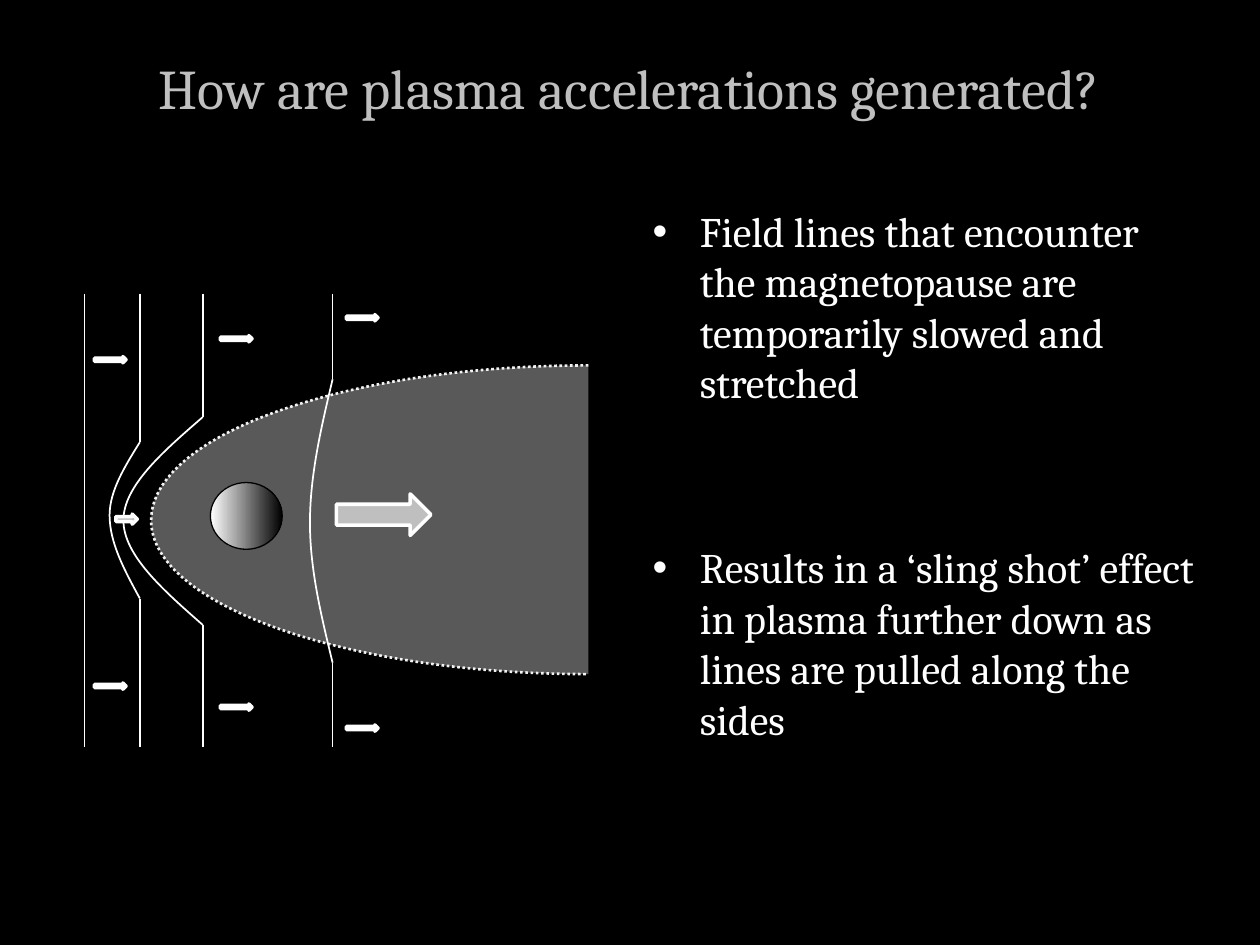
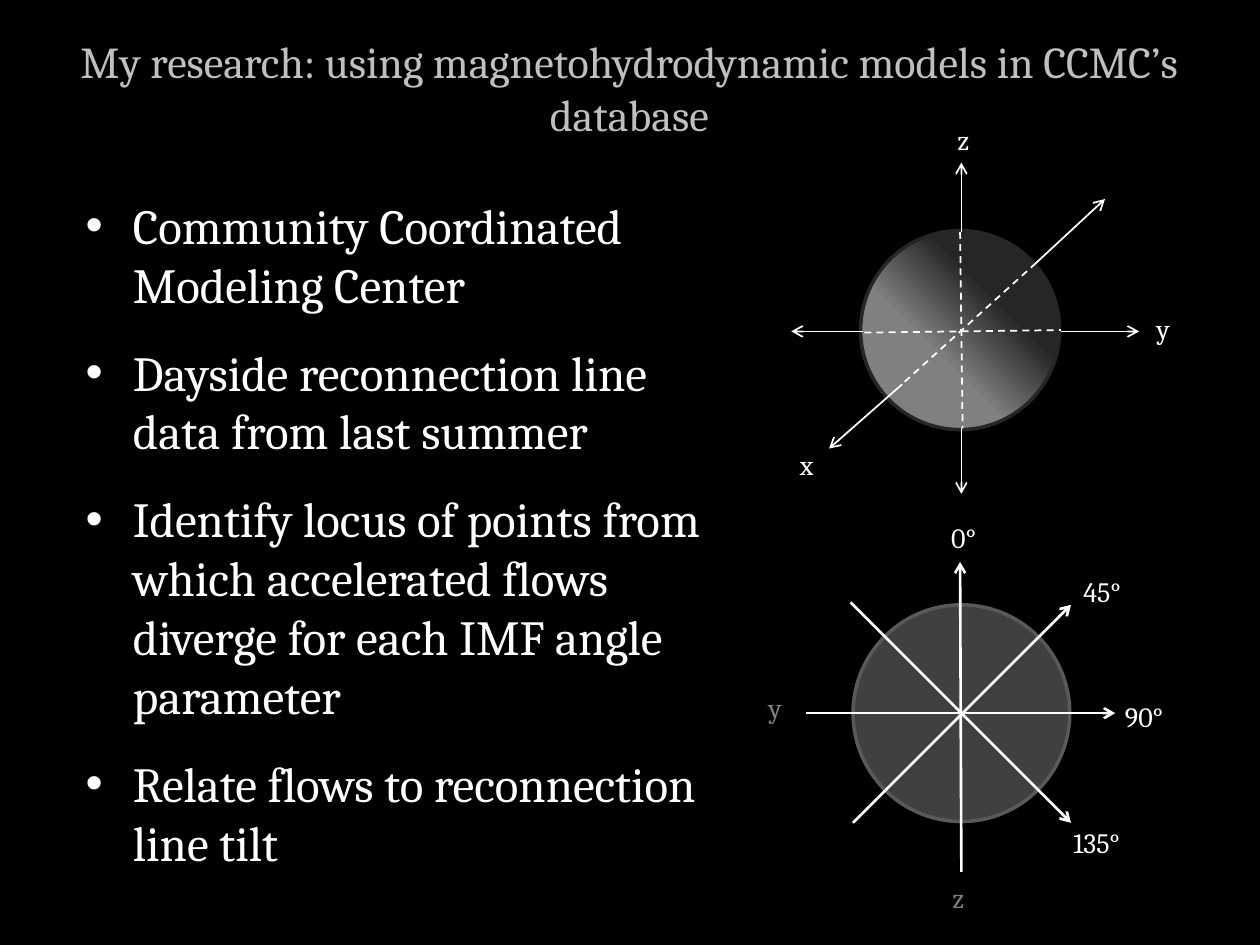
import copy

import pptx
import pptx.dml.color
import pptx.enum.dml
import pptx.enum.shapes
import pptx.enum.text
import pptx.oxml
import pptx.oxml.ns
import pptx.util

Inches = pptx.util.Inches
Pt = pptx.util.Pt
RGBColor = pptx.dml.color.RGBColor
Shape = pptx.enum.shapes.MSO_SHAPE
Dash = pptx.enum.dml.MSO_LINE
qn = pptx.oxml.ns.qn
NAMESPACE = pptx.oxml.ns.nsdecls("a")

BLACK = RGBColor(0x00, 0x00, 0x00)
WHITE = RGBColor(0xFF, 0xFF, 0xFF)
SILVER = RGBColor(0xBF, 0xBF, 0xBF)
GRAY = RGBColor(0x80, 0x80, 0x80)
CAVITY_GRAY = RGBColor(0x59, 0x59, 0x59)
DIAL_GRAY = RGBColor(0x40, 0x40, 0x40)
NIGHT_GRAY = RGBColor(0x26, 0x26, 0x26)
BOUNDARY_WHITE = RGBColor(0xF2, 0xF2, 0xF2)
FONT = "Cambria"
TITLE_BOX = (0.33, 0.3, 9.33, 0.78)

ACCELERATION_TITLE = "How are plasma accelerations generated?"
ACCELERATION_POINTS = [
    ((5.08, 1.58, 4.5, 2.08),
     "Field lines that encounter the magnetopause are temporarily slowed and stretched"),
    ((5.08, 4.25, 4.67, 1.92),
     "Results in a ‘sling shot’ effect in plasma further down as lines are pulled along the sides"),
]
RESEARCH_TITLE = "My research: using magnetohydrodynamic models in CCMC’s database"
RESEARCH_BOX = (0.58, 1.5, 5.42, 5.83)
RESEARCH_POINTS = [
    "Community Coordinated Modeling Center",
    "Dayside reconnection line data from last summer",
    "Identify locus of points from which accelerated flows diverge for each IMF angle parameter",
    "Relate flows to reconnection line tilt",
]

FIELD_TOP, FIELD_BOTTOM = 2.33, 5.93
STRAIGHT_FIELD_X = 0.67
BENT_FIELD_LINES = [
    {"x": 1.11, "bend": (3.51, 4.75), "apex": (0.87, 4.09)},
    {"x": 1.61, "bend": (3.31, 4.96), "apex": (0.98, 4.13)},
    {"x": 2.64, "bend": (3.01, 5.26), "apex": (2.46, 4.15)},
]
MAGNETOPAUSE = [
    (4.67, 2.9),
    (2.75, 2.9), (1.2, 3.45), (1.2, 4.13),
    (1.2, 4.8), (2.75, 5.35), (4.67, 5.35),
]
EARTH_BOX = (1.67, 3.83, 0.57, 0.53)
SLING_ARROWS = [(2.67, 3.92, 0.75, 0.33), (0.92, 4.08, 0.17, 0.08)]

GLOBE_BOX = (6.83, 1.83, 1.58, 1.58)
GLOBE_AXES = [
    ((7.18, 3.03), (8.22, 2.09)),
    ((6.86, 2.64), (8.42, 2.62)),
    ((7.62, 1.84), (7.64, 3.4)),
]
GLOBE_ARROWS = [
    ((8.22, 2.09), (8.77, 1.58)),
    ((7.16, 3.05), (6.58, 3.56)),
    ((6.85, 2.63), (6.28, 2.63)),
    ((8.42, 2.63), (9.04, 2.63)),
    ((7.63, 1.84), (7.63, 1.29)),
    ((7.63, 3.4), (7.63, 3.92)),
]
GLOBE_LABELS = [
    ("y", (9.08, 2.42, 0.4, 0.35), WHITE),
    ("x", (6.25, 3.5, 0.4, 0.37), WHITE),
    ("z", (7.5, 0.92, 0.4, 0.37), WHITE),
]
DIAL_BOX = (6.77, 4.8, 1.72, 1.72)
DIAL_ARROWS = [
    ((7.63, 6.92), (7.62, 4.46)),
    ((6.77, 6.53), (8.5, 4.8)),
    ((6.4, 5.66), (8.85, 5.66)),
    ((6.75, 4.78), (8.5, 6.53)),
]
DIAL_LABELS = [
    ("0°", (7.45, 4.08, 0.48, 0.35), WHITE),
    ("90°", (8.83, 5.5, 0.56, 0.35), WHITE),
    ("45°", (8.5, 4.51, 0.56, 0.35), WHITE),
    ("y", (6, 5.43, 0.4, 0.37), GRAY),
    ("z", (7.46, 6.94, 0.4, 0.37), GRAY),
    ("135°", (8.42, 6.5, 0.67, 0.37), WHITE),
]


def inches(values):
    return [Inches(value) for value in values]


def style_paragraph(paragraph, size, color):
    paragraph.font.name = FONT
    paragraph.font.size = Pt(size)
    paragraph.font.color.rgb = color


def fill_placeholder(placeholder, box, texts, size, color, gap=0):
    placeholder.left, placeholder.top, placeholder.width, placeholder.height = inches(box)
    frame = placeholder.text_frame
    frame.text = "\n".join(texts)
    frame.auto_size = pptx.enum.text.MSO_AUTO_SIZE.NONE
    for paragraph in frame.paragraphs:
        style_paragraph(paragraph, size, color)
        if gap:
            paragraph.space_before = Pt(gap)


def add_slide(presentation, layout_index, title, title_size):
    slide = presentation.slides.add_slide(presentation.slide_layouts[layout_index])
    fill_placeholder(slide.shapes.title, TITLE_BOX, [title], title_size, SILVER)
    return slide


def style_shape(shape, fill, line, width):
    shape.shadow.inherit = False
    if fill is None:
        shape.fill.background()
    else:
        shape.fill.solid()
        shape.fill.fore_color.rgb = fill
    shape.line.color.rgb = line
    shape.line.width = Pt(width)


def add_shape(shapes, kind, box, fill, line, width):
    shape = shapes.add_shape(kind, *inches(box))
    style_shape(shape, fill, line, width)
    return shape


def set_gradient(shape, stops):
    shape.fill.gradient()
    shape.fill.gradient_angle = 0
    for stop, (position, color) in zip(shape.fill.gradient_stops, stops):
        stop.position = position
        stop.color.rgb = color


def radiate_from_lower_left(shape):
    linear = shape._element.spPr.find(qn("a:gradFill")).find(qn("a:lin"))
    radial = pptx.oxml.parse_xml(
        f'<a:path {NAMESPACE} path="circle">'
        '<a:fillToRect t="100000" r="100000"/></a:path>')
    linear.getparent().replace(linear, radial)


def add_line(shapes, start, end, width=1.0, arrow=False, dashed=False):
    connector = shapes.add_connector(
        pptx.enum.shapes.MSO_CONNECTOR.STRAIGHT, *inches(start + end))
    connector.line.color.rgb = WHITE
    connector.line.width = Pt(width)
    if dashed:
        connector.line.dash_style = Dash.DASH
    if arrow:
        connector.line._get_or_add_ln().append(
            pptx.oxml.parse_xml(f'<a:tailEnd {NAMESPACE} type="arrow"/>'))
    connector._element.spPr.append(pptx.oxml.parse_xml(f"<a:effectLst {NAMESPACE}/>"))


def add_curve(shapes, points, fill, line, width):
    start, *others = [inches(point) for point in points]
    builder = shapes.build_freeform(*start)
    builder.add_line_segments(others, close=False)
    shape = builder.convert_to_shape()
    style_shape(shape, fill, line, width)
    outline = next(shape._element.iter(qn("a:path")))
    segments = outline.findall(qn("a:lnTo"))
    for first in range(0, len(segments), 3):
        curve = pptx.oxml.parse_xml(f"<a:cubicBezTo {NAMESPACE}/>")
        outline.append(curve)
        for segment in segments[first:first + 3]:
            curve.append(segment[0])
            outline.remove(segment)
    return shape, outline


def add_label(shapes, text, box, color):
    label = shapes.add_textbox(*inches(box))
    label.text_frame.word_wrap = True
    label.text_frame.auto_size = pptx.enum.text.MSO_AUTO_SIZE.SHAPE_TO_FIT_TEXT
    paragraph = label.text_frame.paragraphs[0]
    paragraph.text = text
    style_paragraph(paragraph, 16, color)


def half_bend(x, y, apex):
    apex_x, apex_y = apex
    return [
        (x, y),
        ((x + apex_x) / 2, y + (apex_y - y) / 3),
        (apex_x, y + (apex_y - y) * 2 / 3),
        apex,
    ]


def add_field_lines(shapes):
    add_line(shapes, (STRAIGHT_FIELD_X, FIELD_TOP), (STRAIGHT_FIELD_X, FIELD_BOTTOM))
    for field in BENT_FIELD_LINES:
        x, (upper, lower), apex = field["x"], field["bend"], field["apex"]
        add_line(shapes, (x, FIELD_TOP), (x, upper))
        add_line(shapes, (x, lower), (x, FIELD_BOTTOM))
        bend = half_bend(x, upper, apex) + half_bend(x, lower, apex)[-2::-1]
        add_curve(shapes, bend, None, WHITE, 1)


def add_magnetosphere(shapes):
    cavity, boundary = add_curve(shapes, MAGNETOPAUSE, CAVITY_GRAY, BOUNDARY_WHITE, 1.5)
    cavity.line.dash_style = Dash.ROUND_DOT
    interior = copy.deepcopy(boundary)
    interior.append(pptx.oxml.parse_xml(f"<a:close {NAMESPACE}/>"))
    interior.set("stroke", "0")
    boundary.set("fill", "none")
    boundary.addnext(interior)
    earth = add_shape(shapes, Shape.OVAL, EARTH_BOX, WHITE, BLACK, 0.75)
    set_gradient(earth, [(0, WHITE), (1, BLACK)])


def add_flow_arrows(shapes):
    wind_arrows = [
        (0.75 + step, y, 0.25, 0.05)
        for step in range(3)
        for y in (2.83 - step / 6, 5.42 + step / 6)]
    for box in wind_arrows + SLING_ARROWS:
        add_shape(shapes, Shape.RIGHT_ARROW, box, SILVER, WHITE, 2)


def build_acceleration_slide(presentation):
    slide = add_slide(presentation, 3, ACCELERATION_TITLE, 32)
    for index, (box, text) in enumerate(ACCELERATION_POINTS, start=1):
        fill_placeholder(slide.placeholders[index], box, [text], 24, WHITE)
    shapes = slide.shapes.add_group_shape().shapes
    add_magnetosphere(shapes)
    add_field_lines(shapes)
    add_flow_arrows(shapes)


def build_research_slide(presentation):
    slide = add_slide(presentation, 1, RESEARCH_TITLE, 25.2)
    fill_placeholder(slide.placeholders[1], RESEARCH_BOX, RESEARCH_POINTS, 28, WHITE, gap=16.6)

    globe_shapes = slide.shapes.add_group_shape().shapes
    globe = add_shape(globe_shapes, Shape.OVAL, GLOBE_BOX, GRAY, NIGHT_GRAY, 2)
    set_gradient(globe, [(0.38, GRAY), (0.67, NIGHT_GRAY)])
    radiate_from_lower_left(globe)
    for start, end in GLOBE_AXES:
        add_line(globe_shapes, start, end, dashed=True)
    for start, end in GLOBE_ARROWS:
        add_line(globe_shapes, start, end, arrow=True)

    dial_shapes = slide.shapes.add_group_shape().shapes
    add_shape(dial_shapes, Shape.OVAL, DIAL_BOX, DIAL_GRAY, CAVITY_GRAY, 2)
    for start, end in DIAL_ARROWS:
        add_line(dial_shapes, start, end, width=1.5, arrow=True)

    for shapes, labels in ((globe_shapes, GLOBE_LABELS), (dial_shapes, DIAL_LABELS)):
        for label in labels:
            add_label(shapes, *label)


def main():
    presentation = pptx.Presentation()
    presentation.slide_width, presentation.slide_height = Inches(10), Inches(7.5)
    background = presentation.slide_master.background.fill
    background.solid()
    background.fore_color.rgb = BLACK
    build_acceleration_slide(presentation)
    build_research_slide(presentation)
    presentation.save("out.pptx")


if __name__ == "__main__":
    main()
